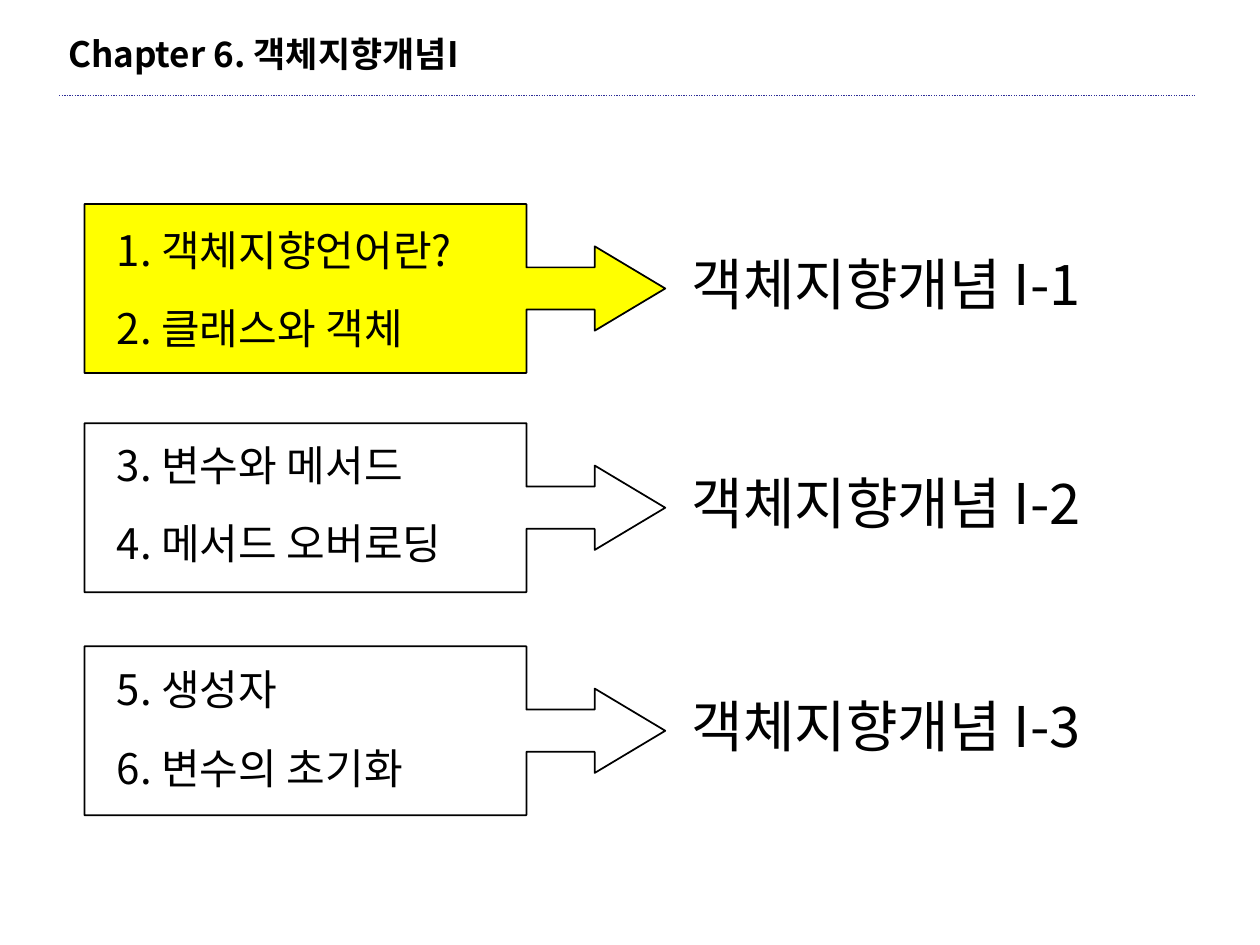
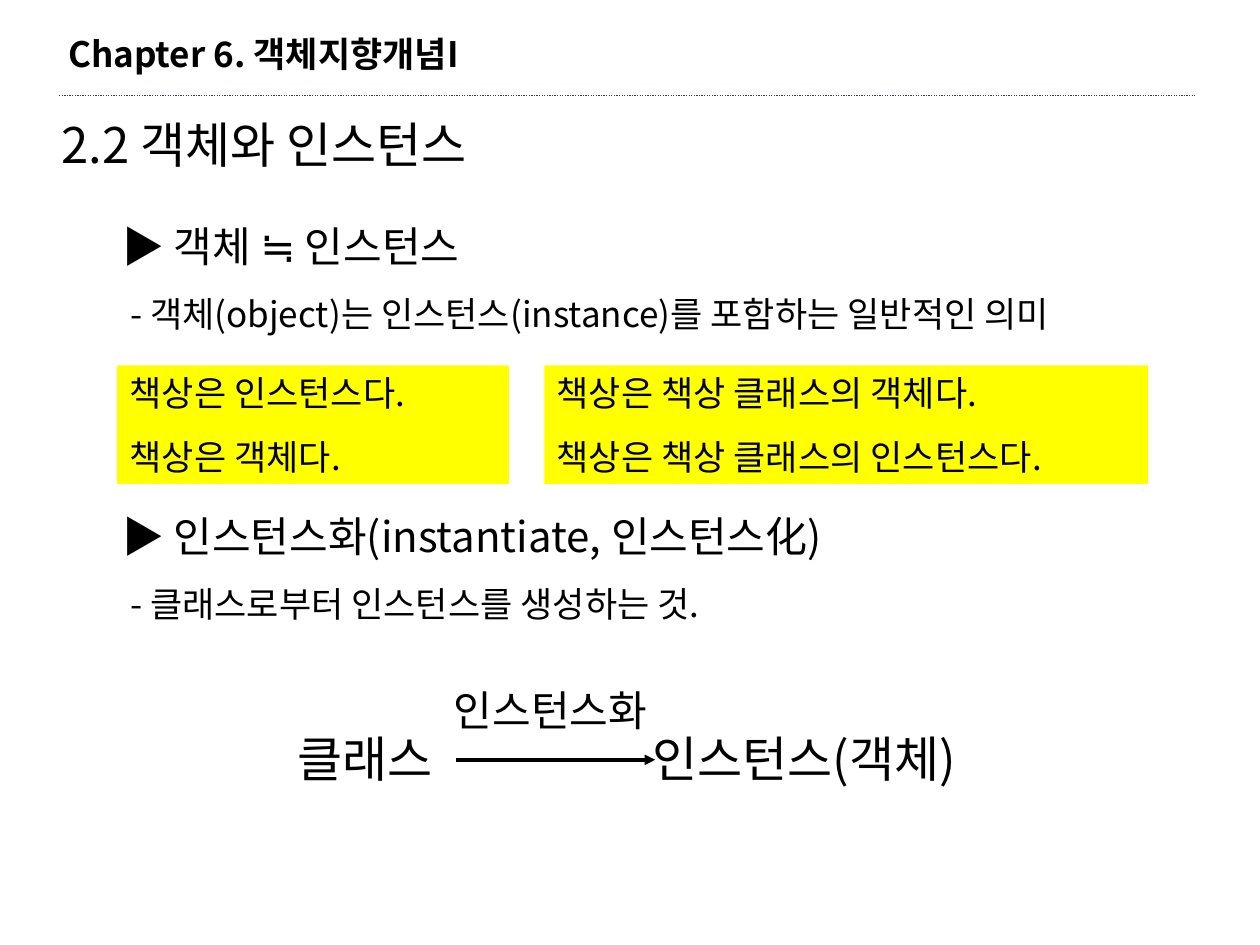
from dataclasses import dataclass

from lxml.etree import SubElement
from pptx import Presentation
from pptx.dml.color import RGBColor
from pptx.enum.dml import MSO_LINE
from pptx.enum.shapes import MSO_CONNECTOR, MSO_SHAPE
from pptx.enum.text import MSO_ANCHOR, MSO_AUTO_SIZE, PP_ALIGN
from pptx.oxml.ns import qn
from pptx.util import Inches, Pt

BLACK = RGBColor(0x00, 0x00, 0x00)
YELLOW = RGBColor(0xFF, 0xFF, 0x00)
RULE_BLUE = RGBColor(0x2F, 0x2F, 0x98)
FONT = "Noto Sans CJK KR"
CHAPTER = "Chapter 6. 객체지향개념I"
TITLE_ONLY, TWO_CONTENT = 5, 3

FRAME_FORMAT = {
    "word_wrap": True,
    "auto_size": MSO_AUTO_SIZE.SHAPE_TO_FIT_TEXT,
    "vertical_anchor": MSO_ANCHOR.TOP,
    "margin_left": Inches(0.1),
    "margin_right": Inches(0.1),
    "margin_top": Inches(0.05),
    "margin_bottom": Inches(0.05),
}


@dataclass(frozen=True)
class Box:
    left: float
    top: float
    width: float
    height: float

    def lengths(self) -> list:
        return [Inches(v) for v in (self.left, self.top, self.width, self.height)]


@dataclass(frozen=True)
class Line:
    text: str
    size: int
    bold: bool = False


@dataclass(frozen=True)
class Part:
    top: float
    items_top: float
    items: tuple
    label: str
    current: bool = False


PARTS = [
    Part(1.62, 1.73, ("1. 객체지향언어란?", "2. 클래스와 객체"), "객체지향개념 I-1", True),
    Part(3.36, 3.44, ("3. 변수와 메서드", "4. 메서드 오버로딩"), "객체지향개념 I-2"),
    Part(5.13, 5.22, ("5. 생성자", "6. 변수의 초기화"), "객체지향개념 I-3"),
]

TOPICS = [
    (Box(0.87, 1.7, 8.66, 1.01),
     "▶ 객체 ≒ 인스턴스",
     " - 객체(object)는 인스턴스(instance)를 포함하는 일반적인 의미"),
    (Box(0.87, 4, 7.95, 1.01),
     "▶ 인스턴스화(instantiate, 인스턴스化)",
     " - 클래스로부터 인스턴스를 생성하는 것."),
]

EXAMPLES = [
    (Box(0.93, 2.9, 3.11, 0.94), "책상은 인스턴스다.", "책상은 객체다."),
    (Box(4.32, 2.9, 4.79, 0.94),
     "책상은 책상 클래스의 객체다.", "책상은 책상 클래스의 인스턴스다."),
]


def set_text(sp, lines: list, align=PP_ALIGN.LEFT) -> None:
    """Write one paragraph per line in the deck's text style."""
    tf = sp.text_frame
    for name, value in FRAME_FORMAT.items():
        setattr(tf, name, value)
    for i, line in enumerate(lines):
        p = tf.paragraphs[0] if i == 0 else tf.add_paragraph()
        p.alignment = align
        p.line_spacing = 1.0
        p.space_before = Pt(line.size * 0.625)
        p_pr = p._p.get_or_add_pPr()
        p_pr.set("marL", "0")
        p_pr.set("indent", "0")
        SubElement(p_pr, qn("a:buNone"))
        r = p.add_run()
        r.text = line.text
        for name, value in {"name": FONT, "size": Pt(line.size), "bold": line.bold}.items():
            setattr(r.font, name, value)
        r.font.color.rgb = BLACK
        SubElement(r.font._element, qn("a:ea"), typeface=FONT)


def place(sp, box: Box) -> None:
    for name, value in zip(("left", "top", "width", "height"), box.lengths()):
        setattr(sp, name, value)


def add_text(s, box: Box, text: str, size: int, align=PP_ALIGN.LEFT) -> None:
    set_text(s.shapes.add_textbox(*box.lengths()), [Line(text, size)], align)


def add_block(s, kind, box: Box, fill=None, outline=None):
    sp = s.shapes.add_shape(kind, *box.lengths())
    sp.shadow.inherit = False
    for paint, color in ((sp.fill, fill), (sp.line.fill, outline)):
        if color is None:
            paint.background()
        else:
            paint.solid()
            paint.fore_color.rgb = color
    if outline is not None:
        sp.line.width = Pt(1)
    return sp


def add_line(s, x1: float, x2: float, y: float, color, width: float):
    cn = s.shapes.add_connector(
        MSO_CONNECTOR.STRAIGHT, Inches(x1), Inches(y), Inches(x2), Inches(y))
    cn.line.color.rgb = color
    cn.line.width = Pt(width)
    SubElement(cn._element.spPr, qn("a:effectLst"))
    return cn


def add_slide(prs, layout: int):
    """Add a slide with the chapter title and the dotted rule."""
    s = prs.slides.add_slide(prs.slide_layouts[layout])
    rule = add_line(s, 0.47, 9.49, 0.76, RULE_BLUE, 0.75)
    rule.line.dash_style = MSO_LINE.ROUND_DOT
    place(s.shapes.title, Box(0.44, 0.21, 4.17, 0.44))
    set_text(s.shapes.title, [Line(CHAPTER, 20, True)])
    return s


def build_contents(prs) -> None:
    s = add_slide(prs, TITLE_ONLY)
    for part in PARTS:
        callout = add_block(s, MSO_SHAPE.RIGHT_ARROW_CALLOUT, Box(0.67, part.top, 4.61, 1.34),
                            YELLOW if part.current else None, BLACK)
        for i, value in enumerate((0.25, 0.25, 0.418, 0.761)):
            callout.adjustments[i] = value
        for i, item in enumerate(part.items):
            add_text(s, Box(0.83, part.items_top + 0.62 * i, 5.32, 0.5), item, 24)
        add_text(s, Box(5.39, part.top + 0.31, 4.29, 0.64), part.label, 32)


def build_instances(prs) -> None:
    s = add_slide(prs, TWO_CONTENT)
    add_text(s, Box(0.39, 0.86, 8.03, 0.57), "2.2 객체와 인스턴스", 28)

    # Topics and highlighted examples
    bodies = [ph for ph in s.placeholders if ph.placeholder_format.idx > 0]
    for body, (box, heading, detail) in zip(bodies, TOPICS):
        place(body, box)
        set_text(body, [Line(heading, 24), Line(detail, 20)])
    for box, *sentences in EXAMPLES:
        sp = add_block(s, MSO_SHAPE.RECTANGLE, box, YELLOW)
        set_text(sp, [Line(text, 20) for text in sentences])

    # Class-to-instance diagram
    add_text(s, Box(1.53, 5.73, 2, 0.57), "클래스", 28, PP_ALIGN.RIGHT)
    add_text(s, Box(5.08, 5.73, 4, 0.57), "인스턴스(객체)", 28)
    add_text(s, Box(3, 5.38, 2.74, 0.5), "인스턴스화", 24, PP_ALIGN.CENTER)
    arrow = add_line(s, 3.62, 5.2, 6.03, BLACK, 2)
    SubElement(arrow.line._get_or_add_ln(), qn("a:tailEnd"), type="triangle")


def main() -> None:
    prs = Presentation()
    prs.slide_width, prs.slide_height = Inches(10), Inches(7.5)
    build_contents(prs)
    build_instances(prs)
    prs.save("out.pptx")


if __name__ == "__main__":
    main()
